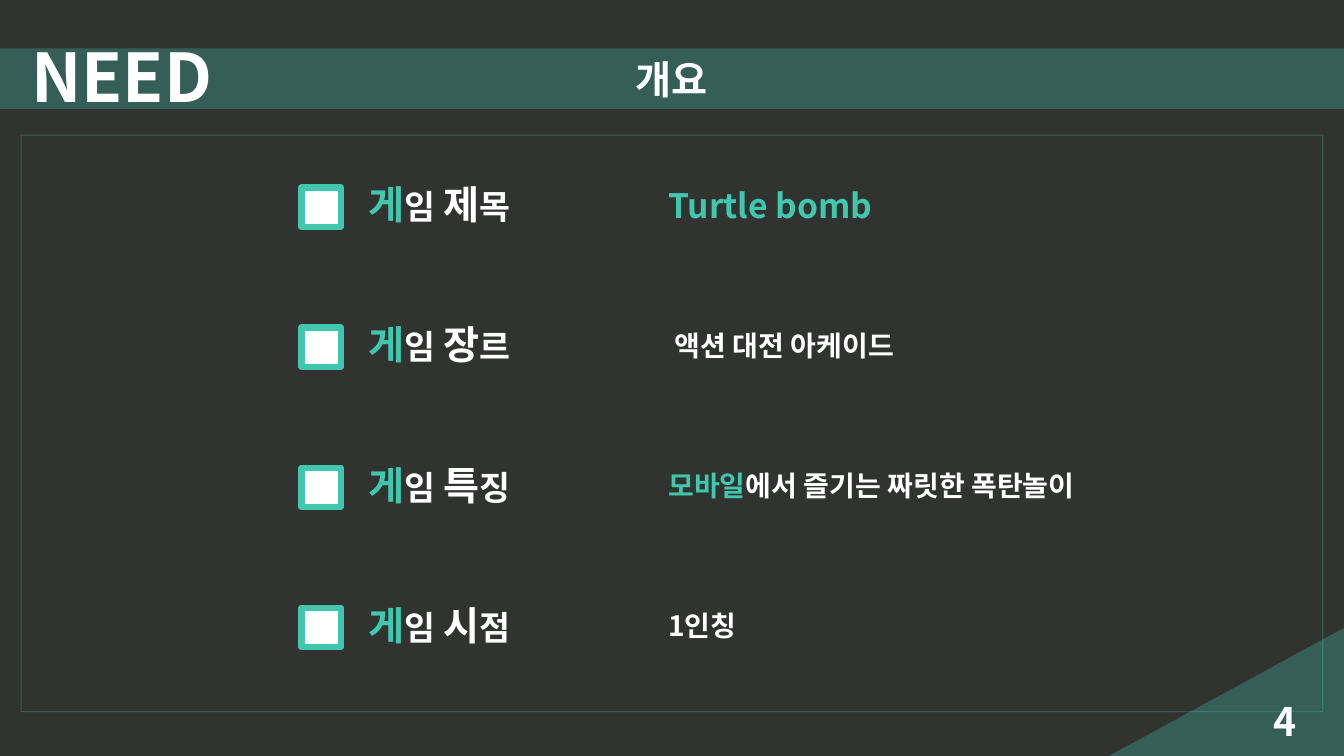
from dataclasses import dataclass

import pptx
import pptx.util
from lxml import etree
from pptx.dml.color import RGBColor
from pptx.enum.shapes import MSO_SHAPE
from pptx.enum.text import MSO_ANCHOR, MSO_AUTO_SIZE, PP_ALIGN
from pptx.oxml.ns import qn
from pptx.util import Inches


@dataclass(frozen=True)
class Theme:
    background: str = "313331"
    accent: str = "41C7AD"
    white: str = "FFFFFF"
    font: str = "Noto Sans CJK KR"
    section: int = 48
    large: int = 28
    medium: int = 24
    body: int = 20
    tint: int = 30


THEME = Theme()
ROW_TOP = 1.7
ROW_PITCH = 1.39
ROW_HEIGHT = 0.71
BOX_SIZE = 0.39

# Each row: two label syllables, detail runs (text, size, colour), detail width.
ROWS = [
    ("제", "목", [("Turtle bomb", THEME.medium, THEME.accent)], 3.47),
    ("장", "르", [(" 액션 대전 아케이드", THEME.body, THEME.white)], 3.47),
    ("특", "징", [("모바일", THEME.body, THEME.accent),
                ("에서 즐기는 짜릿한 폭탄놀이", THEME.body, THEME.white)], 6.01),
    ("시", "점", [("1인칭", THEME.body, THEME.white)], 3.47),
]


def set_color(fill, color, opacity=100):
    fill.solid()
    fill.fore_color.rgb = RGBColor.from_string(color)
    if opacity < 100:
        color_node = fill._xPr.find(qn("a:solidFill"))[0]
        alpha = etree.SubElement(color_node, qn("a:alpha"))
        alpha.set("val", str(opacity * 1000))


def add_panel(slide, kind, left, top, width, height, fill=None, line_width=None, opacity=100):
    """Add a shape; opacity applies to the accent colour only."""
    panel = slide.shapes.add_shape(
        kind, Inches(left), Inches(top), Inches(width), Inches(height))
    panel.shadow.inherit = False
    if fill:
        set_color(panel.fill, fill, opacity)
    else:
        panel.fill.background()
    if line_width:
        panel.line.width = pptx.util.Pt(line_width)
        set_color(panel.line.fill, THEME.accent, opacity)
    else:
        panel.line.fill.background()
    return panel


def write_runs(frame, runs, align=PP_ALIGN.LEFT, anchor=MSO_ANCHOR.MIDDLE):
    frame.word_wrap = True
    frame.vertical_anchor = anchor
    paragraph = frame.paragraphs[0]
    paragraph.alignment = align
    for text, size, color in runs:
        run = paragraph.add_run()
        run.text = text
        run.font.size = pptx.util.Pt(size)
        run.font.bold = True
        run.font.name = THEME.font
        set_color(run.font.fill, color)
        east_asian = etree.SubElement(run._r.get_or_add_rPr(), qn("a:ea"))
        east_asian.set("typeface", THEME.font)
    return paragraph


def add_text(slide, left, top, width, height, runs, **layout):
    box = slide.shapes.add_textbox(
        Inches(left), Inches(top), Inches(width), Inches(height))
    return box, write_runs(box.text_frame, runs, **layout)


def add_row_text(slide, left, top, width, runs):
    _, paragraph = add_text(slide, left, top, width, ROW_HEIGHT, runs)
    paragraph.line_spacing = 0.9
    paragraph.space_after = pptx.util.Pt(6)


def add_row(slide, index, stressed, ending, detail, detail_width):
    top = ROW_TOP + index * ROW_PITCH
    label = [
        ("게", THEME.large, THEME.accent),
        ("임 ", THEME.medium, THEME.white),
        (stressed, THEME.large, THEME.white),
        (ending, THEME.medium, THEME.white),
    ]
    add_panel(slide, MSO_SHAPE.RECTANGLE, 2.99, top + (ROW_HEIGHT - BOX_SIZE) / 2,
              BOX_SIZE, BOX_SIZE, THEME.white, line_width=4.5)
    add_row_text(slide, 3.56, top, 1.86, label)
    add_row_text(slide, 6.53, top, detail_width, detail)


def add_backdrop(slide):
    set_color(slide.background.fill, THEME.background)
    add_panel(slide, MSO_SHAPE.RECTANGLE, 0.21, 1.34, 12.91, 5.72,
              line_width=0.75, opacity=THEME.tint)
    corner = add_panel(slide, MSO_SHAPE.RIGHT_TRIANGLE, 11, 6.23, 2.33, 1.27,
                       THEME.accent, opacity=THEME.tint)
    corner._element.spPr.find(qn("a:xfrm")).set("flipH", "1")


def add_header(slide):
    band = add_panel(slide, MSO_SHAPE.RECTANGLE, 0, 0.48, 13.33, 0.6,
                     THEME.accent, opacity=THEME.tint)
    write_runs(band.text_frame, [("개요", THEME.large, THEME.white)], align=PP_ALIGN.CENTER)
    section, _ = add_text(slide, 0.21, 0.3, 2.33, 0.91,
                          [("NEED", THEME.section, THEME.white)], anchor=MSO_ANCHOR.TOP)
    section.text_frame.auto_size = MSO_AUTO_SIZE.SHAPE_TO_FIT_TEXT


def main():
    deck = pptx.Presentation()
    deck.slide_width, deck.slide_height = Inches(13.33), Inches(7.5)
    slide = deck.slides.add_slide(deck.slide_layouts[6])
    add_backdrop(slide)
    add_header(slide)
    for index, row in enumerate(ROWS):
        add_row(slide, index, *row)
    add_text(slide, 9.96, 6.95, 3, 0.4,
             [("4", THEME.large, THEME.white)], align=PP_ALIGN.RIGHT)
    deck.save("out.pptx")


if __name__ == "__main__":
    main()
